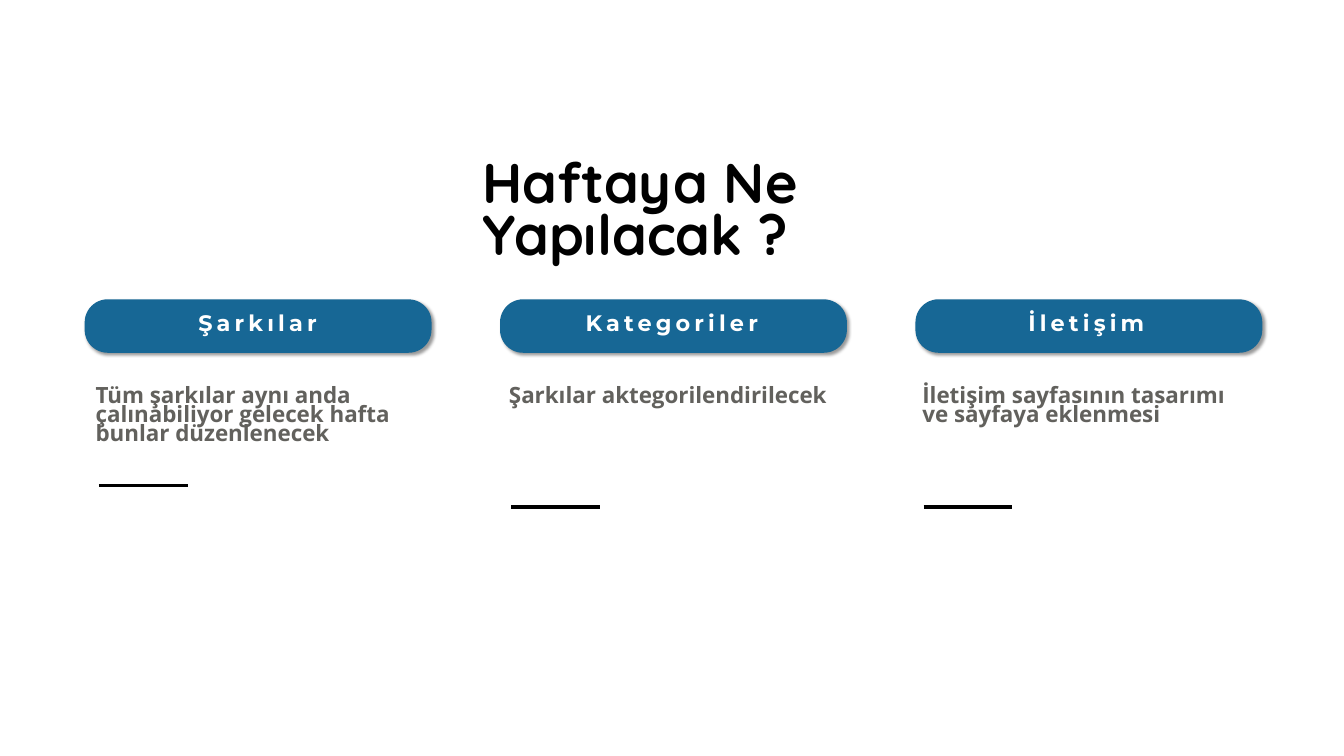
from lxml.etree import SubElement
from pptx import Presentation
from pptx.dml.color import RGBColor
from pptx.enum.shapes import MSO_CONNECTOR, MSO_SHAPE
from pptx.enum.text import MSO_ANCHOR, PP_ALIGN
from pptx.oxml.ns import qn
from pptx.util import Inches, Pt

TITLE = "Haftaya Ne Yapılacak ?"
TASKS = [
    ("Şarkılar", "Tüm şarkılar aynı anda çalınabiliyor gelecek hafta bunlar düzenlenecek", 4.82),
    ("Kategoriler", "Şarkılar aktegorilendirilecek", 5.03),
    ("İletişim", "İletişim sayfasının tasarımı ve sayfaya eklenmesi", 5.03),
]

THEME = {
    "pill": "176795",
    "rule": "000000",
    "rule_width": 2.25,
    "title": {"name": "Quicksand", "size": 40, "color": "000000", "spacing": 0.77},
    "heading": {"name": "Montserrat", "size": 16, "color": "FFFFFF", "spacing": 0.8},
    "detail": {"name": "Open Sans", "size": 16, "color": "62615D", "spacing": 0.71},
}

GRID = {
    "pill": {"left": 0.84, "pitch": 4.12, "top": 2.97, "width": 3.44, "height": 0.53},
    "heading": {"left": 1.24, "pitch": 4.11, "top": 3.07, "width": 2.63, "height": 0.33},
    "detail": {"left": 0.85, "pitch": 4.1, "top": 3.8, "width": 3.43, "height": 0.53},
    "rule": {"left": 0.98, "pitch": 4.09, "width": 0.88},
    "title": {"left": 4.69, "pitch": 0, "top": 1.56, "width": 4.93, "height": 0.24},
}

deck = Presentation()
deck.slide_width, deck.slide_height = Inches(13.33), Inches(7.5)
slide = deck.slides.add_slide(deck.slide_layouts[6])


def cell(part, column=0):
    place = GRID[part]
    left = place["left"] + column * place["pitch"]
    return [Inches(v) for v in (left, place["top"], place["width"], place["height"])]


def write(part, words, column=0, align=PP_ALIGN.LEFT, tracking=0):
    style = THEME[part]
    frame = slide.shapes.add_textbox(*cell(part, column)).text_frame
    frame.word_wrap = True
    frame.vertical_anchor = MSO_ANCHOR.TOP
    paragraph = frame.paragraphs[0]
    layout = {"alignment": align, "line_spacing": style["spacing"], "space_before": Pt(10)}
    for name, value in layout.items():
        setattr(paragraph, name, value)
    run = paragraph.add_run()
    run.text = words
    for name, value in {"name": style["name"], "size": Pt(style["size"]), "bold": True}.items():
        setattr(run.font, name, value)
    run.font.color.rgb = RGBColor.from_string(style["color"])
    if tracking:
        run.font._element.set("spc", str(tracking * 100))


def add_pill(column):
    pill = slide.shapes.add_shape(MSO_SHAPE.ROUNDED_RECTANGLE, *cell("pill", column))
    pill.adjustments[0] = 0.43
    pill.fill.solid()
    pill.fill.fore_color.rgb = RGBColor.from_string(THEME["pill"])
    pill.line.fill.background()
    pill.shadow.inherit = False
    effects = pill._element.spPr.find(qn("a:effectLst"))
    shadow = SubElement(effects, qn("a:outerShdw"), blurRad=str(Pt(2)), dist=str(Pt(2)),
                        dir=str(45 * 60000), algn="tl", rotWithShape="0")
    shade = SubElement(shadow, qn("a:srgbClr"), val="000000")
    SubElement(shade, qn("a:alpha"), val="40000")


def add_rule(column, height):
    place = GRID["rule"]
    start = place["left"] + column * place["pitch"]
    ends = [Inches(v) for v in (start, height, start + place["width"], height)]
    rule = slide.shapes.add_connector(MSO_CONNECTOR.STRAIGHT, *ends)
    rule.line.color.rgb = RGBColor.from_string(THEME["rule"])
    rule.line.width = Pt(THEME["rule_width"])
    SubElement(rule._element.spPr, qn("a:effectLst"))


write("title", TITLE)
for column, (heading, detail, rule_height) in enumerate(TASKS):
    add_pill(column)
    write("heading", heading, column, PP_ALIGN.CENTER, tracking=3)
    write("detail", detail, column)
    add_rule(column, rule_height)

deck.save("out.pptx")
